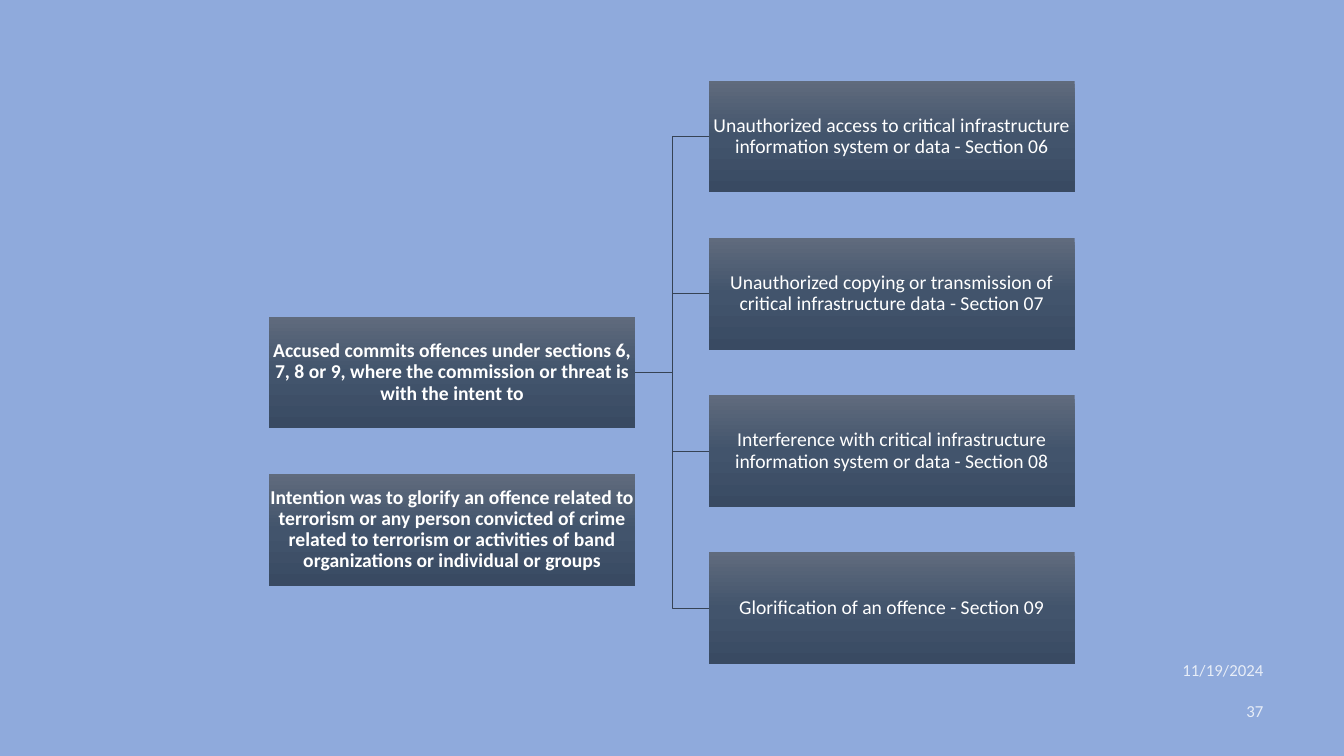
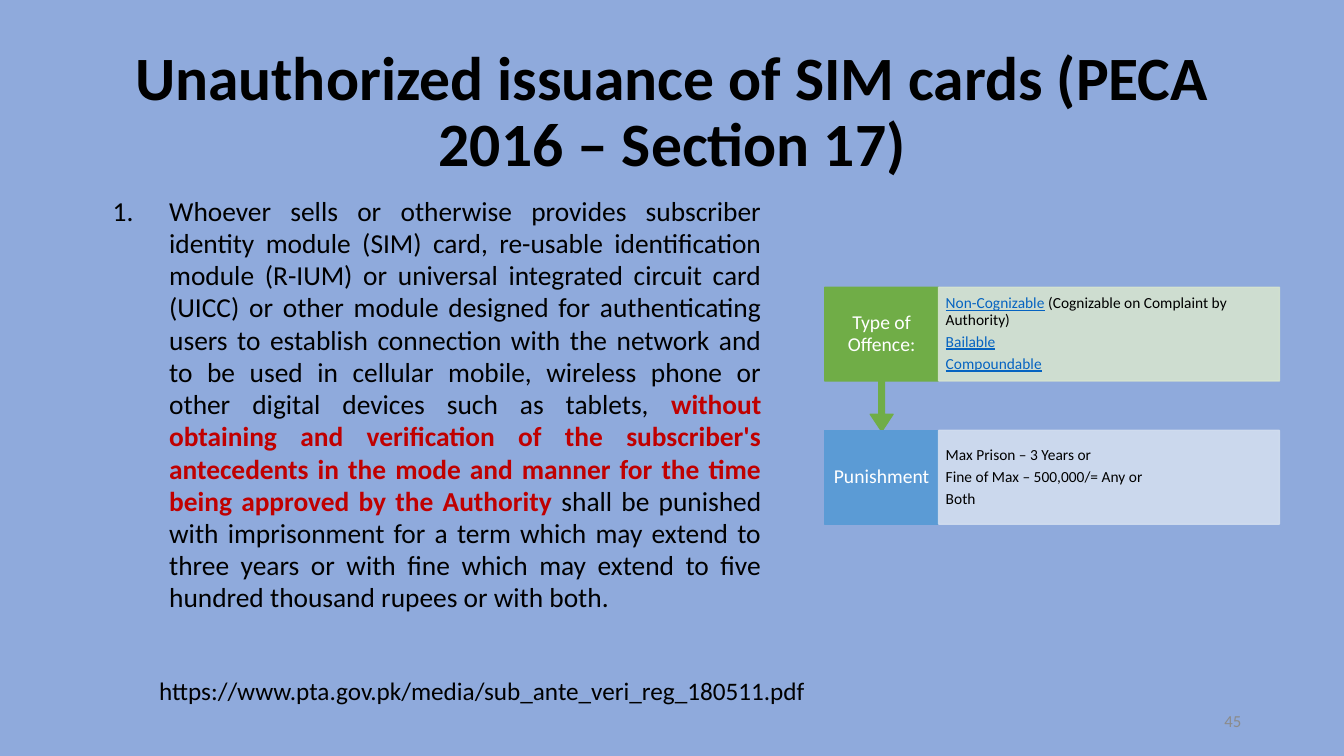
from lxml.etree import SubElement
from pptx import Presentation
from pptx.dml.color import RGBColor
from pptx.enum.shapes import MSO_CONNECTOR, MSO_SHAPE
from pptx.enum.text import MSO_ANCHOR, PP_ALIGN
from pptx.oxml.ns import qn
from pptx.util import Inches, Pt

FONT = "Calibri"
BACKGROUND, WHITE, BLACK = "8FAADC", "FFFFFF", "000000"
RED, LINK, GREY, LINE = "C00000", "0563C1", "8B8B8B", "364355"
BOX_GRADIENT = [(0, "606B7D"), (50, "42546C"), (100, "394A62")]

DATE = "11/19/2024"
PAGES = ("37", "45")
OFFENCE = ("Accused commits offences under sections 6, 7, 8 or 9, "
           "where the commission or threat is with the intent to")
INTENTION = ("Intention was to glorify an offence related to terrorism or any person "
             "convicted of crime related to terrorism or activities of band "
             "organizations or individual or groups")
SECTIONS = [
    "Unauthorized access to critical infrastructure information system or data - Section 06",
    "Unauthorized copying or transmission of critical infrastructure data - Section 07",
    "Interference with critical infrastructure information system or data - Section 08",
    "Glorification of an offence - Section 09",
]

TITLE = "Unauthorized issuance of SIM cards (PECA 2016 – Section 17)"
LAW = [
    ("Whoever sells or otherwise provides subscriber identity module (SIM) card, "
     "re-usable identification module (R-IUM) or universal integrated circuit card (UICC) "
     "or other module designed for authenticating users to establish connection with the "
     "network and to be used in cellular mobile, wireless phone or other digital devices "
     "such as tablets, ", None),
    ("without obtaining and verification of the subscriber's antecedents in the mode and "
     "manner for the time being approved by the Authority ", "key"),
    ("shall be punished with imprisonment for a term which may extend to three years or "
     "with fine which may extend to five hundred thousand rupees or with both.", None),
]
SOURCE = "https://www.pta.gov.pk/media/sub_ante_veri_reg_180511.pdf"
CONSEQUENCES = [
    ("Type of Offence:", MSO_SHAPE.DOWN_ARROW_CALLOUT, "70AD47", "D5E3CF", [
        [("Non-Cognizable", "link"), (" (Cognizable on Complaint by Authority)", None)],
        [("Bailable", "link")],
        [("Compoundable", "link")],
    ]),
    ("Punishment", MSO_SHAPE.RECTANGLE, "5B9BD5", "D2DEEF", [
        "Max Prison – 3 Years or",
        "Fine of Max – 500,000/= Any or",
        "Both",
    ]),
]


def rgb(value):
    return RGBColor.from_string(value)


def set_alpha(element, percent):
    """Make every colour inside the element partly transparent."""
    for color in element.iter(qn("a:srgbClr")):
        SubElement(color, qn("a:alpha"), val=str(percent * 1000))


def write(shape, paragraphs, size, color=BLACK, bold=False, align=PP_ALIGN.LEFT,
          anchor=MSO_ANCHOR.MIDDLE, insets=(0.1, 0.05), spacing=None, after=0,
          numbered=False):
    """Fill a shape with paragraphs, each a string or a list of (text, style) runs."""
    frame = shape.text_frame
    frame.word_wrap = True
    frame.vertical_anchor = anchor
    frame.margin_left = frame.margin_right = Inches(insets[0])
    frame.margin_top = frame.margin_bottom = Inches(insets[1])
    for index, content in enumerate(paragraphs):
        paragraph = frame.add_paragraph() if index else frame.paragraphs[0]
        paragraph.alignment = align
        paragraph.space_after = Pt(after)
        if spacing:
            paragraph.line_spacing = spacing
        if numbered:
            properties = paragraph._p.get_or_add_pPr()
            properties.set("marL", str(Inches(0.56)))
            properties.set("indent", str(-Inches(0.56)))
            SubElement(properties, qn("a:buFont"), typeface="+mj-lt")
            SubElement(properties, qn("a:buAutoNum"), type="arabicPeriod")
        font = paragraph.font
        font.name, font.size, font.bold = FONT, Pt(size), bold
        font.color.rgb = rgb(color)
        for text, style in [(content, None)] if isinstance(content, str) else content:
            run = paragraph.add_run()
            run.text = text
            if style == "key":
                run.font.bold = True
                run.font.color.rgb = rgb(RED)
            elif style == "link":
                run.font.underline = True
                run.font.color.rgb = rgb(LINK)


def add_text(slide, left, top, width, height, paragraphs, size, **style):
    box = slide.shapes.add_textbox(*map(Inches, (left, top, width, height)))
    write(box, paragraphs, size, **style)
    return box


def add_panel(slide, left, top, width, height, fill=None, kind=MSO_SHAPE.RECTANGLE):
    """Add a shape with a matching outline, or a borderless gradient when no fill is given."""
    panel = slide.shapes.add_shape(kind, *map(Inches, (left, top, width, height)))
    panel.shadow.inherit = False
    if fill:
        panel.fill.solid()
        panel.fill.fore_color.rgb = rgb(fill)
        panel.line.color.rgb = rgb(fill)
        panel.line.width = Pt(1)
        return panel
    panel.line.fill.background()
    panel.fill.gradient()
    panel.fill.gradient_angle = 270
    stops = panel._element.spPr.find(".//" + qn("a:gsLst"))
    for stop in list(stops):
        stops.remove(stop)
    for position, color in BOX_GRADIENT:
        stop = SubElement(stops, qn("a:gs"), pos=str(position * 1000))
        SubElement(stop, qn("a:srgbClr"), val=color)
    return panel


def add_footer(slide, right, top, text, color):
    return add_text(slide, right - 1.5, top, 1.5, 0.4, [text], 12,
                    color=color, align=PP_ALIGN.RIGHT)


def build_offences(slide):
    left, top, width, height = 2.67, 0.8, 3.63, 1.11
    column_step, row_step = 4.36, 1.56

    def add_box(column, row, text, bold=False):
        box = add_panel(slide, left + column * column_step, top + row * row_step,
                        width, height)
        write(box, [text], 14, color=WHITE, bold=bold, align=PP_ALIGN.CENTER,
              insets=(0.01, 0.01), spacing=0.9, after=4.9)
        return box

    offence = add_box(0, 1.5, OFFENCE, bold=True)
    for row, text in enumerate(SECTIONS):
        section = add_box(1, row, text)
        branch = slide.shapes.add_connector(MSO_CONNECTOR.ELBOW, 0, 0, 0, 0)
        branch.begin_connect(offence, 3)
        branch.end_connect(section, 1)
        branch.line.color.rgb = rgb(LINE)
        branch.line.width = Pt(0.5)
        SubElement(branch._element.spPr, qn("a:effectLst"))
    add_box(0, 2.5, INTENTION, bold=True)

    for top, text in ((6.45, DATE), (6.85, PAGES[0])):
        set_alpha(add_footer(slide, 12.63, top, text, WHITE)._element, 80)


def build_sim_cards(slide):
    add_text(slide, 0.92, 0.4, 11.5, 1.45, [TITLE], 44, bold=True,
             align=PP_ALIGN.CENTER, spacing=0.9)
    add_text(slide, 1.02, 1.89, 6.63, 4.76, [LAW], 19.6, align=PP_ALIGN.JUSTIFY,
             anchor=MSO_ANCHOR.TOP, spacing=0.98, numbered=True)
    add_text(slide, 1.48, 6.65, 11.73, 0.4, [SOURCE], 18, anchor=MSO_ANCHOR.TOP)

    left, top, label_width, detail_width = 8.18, 2.85, 1.13, 3.38
    height, row_step = 0.93, 1.42
    for row, (label, kind, strong, pale, details) in enumerate(CONSEQUENCES):
        y = top + row * row_step
        callout = kind == MSO_SHAPE.DOWN_ARROW_CALLOUT
        heading = add_panel(slide, left, y, label_width,
                            1.43 if callout else height, strong, kind)
        if callout:
            for index, share in enumerate((0.05, 0.1, 0.15, 0.65)):
                heading.adjustments[index] = share
        write(heading, [label], 14, color=WHITE, align=PP_ALIGN.CENTER,
              insets=(0.08, 0.11), spacing=0.9, after=4.9)
        detail = add_panel(slide, left + label_width, y, detail_width, height, pale)
        set_alpha(detail._element.spPr, 90)
        write(detail, details, 11, insets=(0.07, 0.15), spacing=0.9, after=3.85)

    add_footer(slide, 12.41, 6.95, PAGES[1], GREY)


def main():
    prs = Presentation()
    prs.slide_width, prs.slide_height = Inches(13.33), Inches(7.5)
    backdrop = prs.slide_master.background.fill
    backdrop.solid()
    backdrop.fore_color.rgb = rgb(BACKGROUND)
    for build in (build_offences, build_sim_cards):
        build(prs.slides.add_slide(prs.slide_layouts[6]))
    prs.save("out.pptx")


if __name__ == "__main__":
    main()
